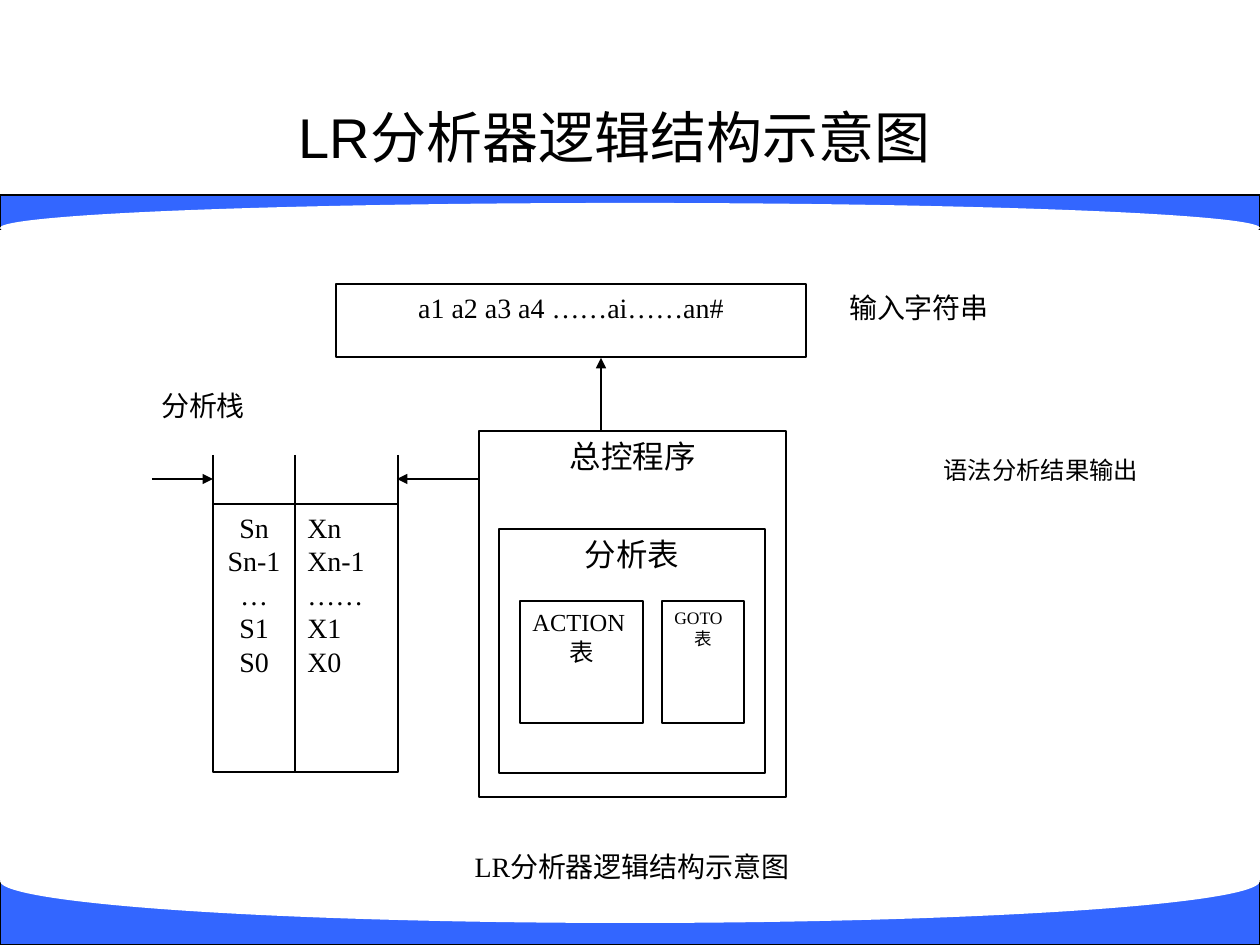
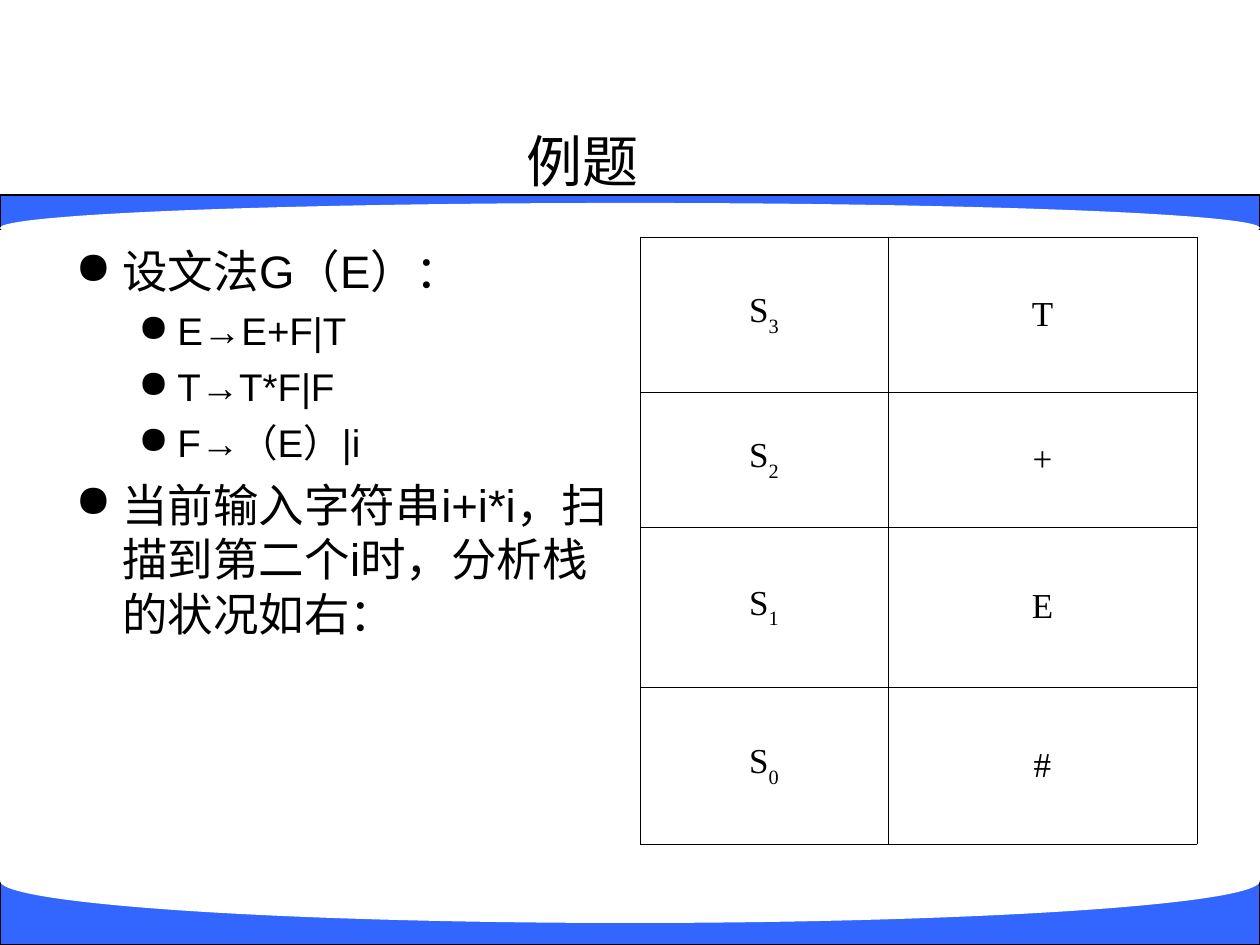
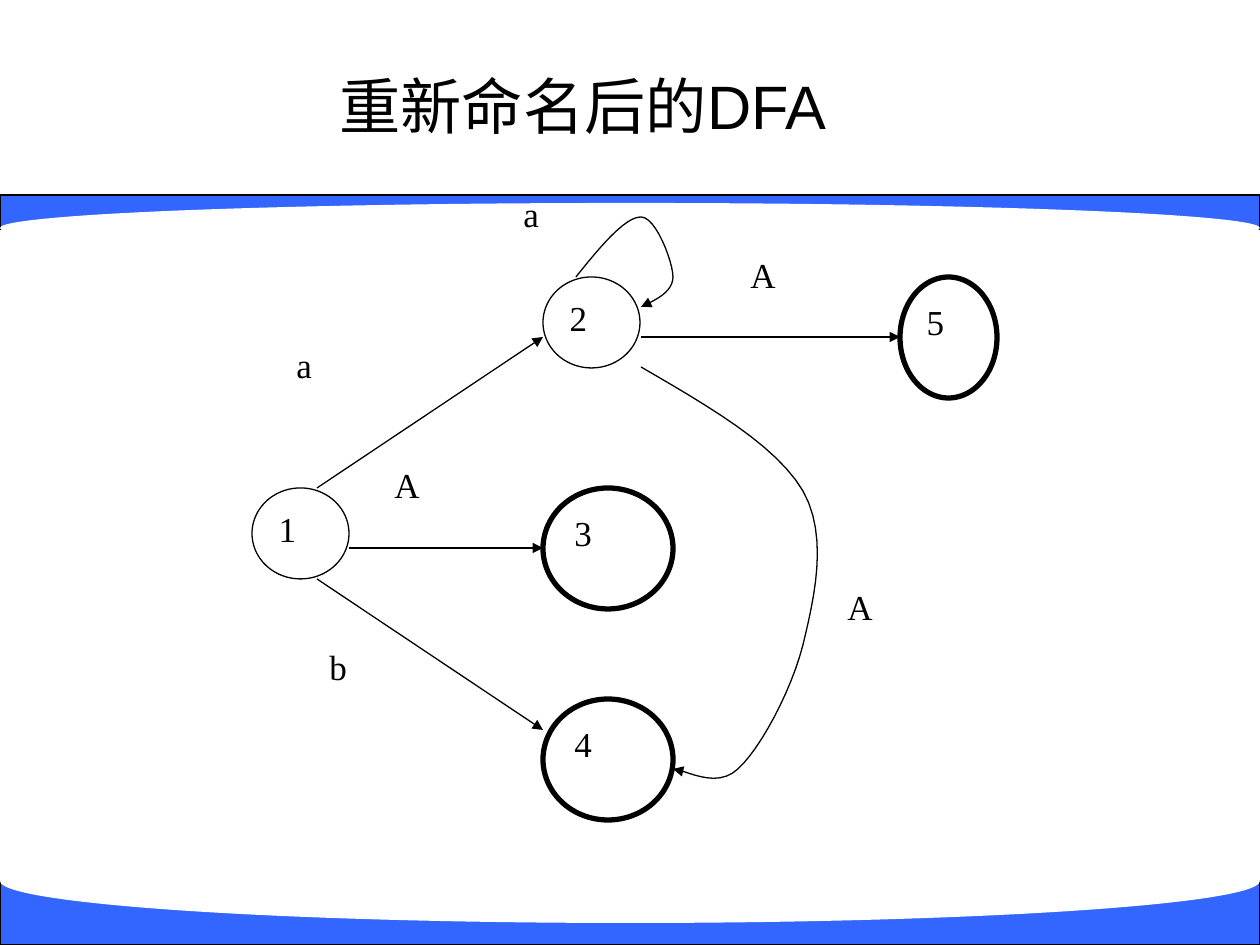
from typing import NamedTuple

from lxml import etree
from pptx import Presentation
from pptx import util as u
from pptx.dml.color import RGBColor
from pptx.enum import shapes, text
from pptx.oxml import ns

BLUE = RGBColor(0x33, 0x66, 0xFF)
BLACK = RGBColor(0, 0, 0)
WHITE = RGBColor(0xFF, 0xFF, 0xFF)
SANS, SERIF = "Arial", "Times New Roman"
RECT, OVAL = shapes.MSO_SHAPE.RECTANGLE, shapes.MSO_SHAPE.OVAL
CENTER, JUSTIFY, LEFT = text.PP_ALIGN.CENTER, text.PP_ALIGN.JUSTIFY, text.PP_ALIGN.LEFT
THIN, THICK = 0.75, 3
CURVE_STEPS = 12


def px(length):
    return round(length * u.Inches(1) / 126)


class Box(NamedTuple):
    left: int
    top: int
    width: int
    height: int

    def inner(self, left, top, width, height):
        return Box(self.left + left, self.top + top, width, height)

    def point(self, x, y):
        return px(self.left + x), px(self.top + y)

    def emu(self):
        return [px(length) for length in self]


def add_xml(parent, tag, **attributes):
    return etree.SubElement(parent, ns.qn(tag), attributes)


def add_arrowhead(line):
    add_xml(line.get_or_change_to_solidFill().getparent()
            if hasattr(line, "get_or_change_to_solidFill") else line,
            "a:tailEnd", type="triangle")


def style_paragraph(para, size, font=SERIF, align=CENTER):
    para.alignment = align
    para.font.size = u.Pt(size)
    para.font.name = font
    para.font.color.rgb = BLACK


def write_lines(frame, lines, size, font=SERIF, aligns=(CENTER,), anchor=text.MSO_ANCHOR.TOP):
    """Write one paragraph per line; the last alignment serves all further lines."""
    frame.word_wrap = True
    frame.vertical_anchor = anchor
    for index, line in enumerate(lines):
        para = frame.paragraphs[0] if index == 0 else frame.add_paragraph()
        para.text = line
        style_paragraph(para, size, font, aligns[min(index, len(aligns) - 1)])


def add_figure(page, kind, box, fill=WHITE, line=THIN):
    figure = page.shapes.add_shape(kind, *box.emu())
    figure.shadow.inherit = False
    figure.fill.solid()
    figure.fill.fore_color.rgb = fill
    if line:
        figure.line.color.rgb = BLACK
        figure.line.width = u.Pt(line)
    else:
        figure.line.fill.background()
    return figure


def add_panel(page, box, lines, size, aligns=(CENTER,)):
    write_lines(add_figure(page, RECT, box).text_frame, lines, size, aligns=aligns)


def add_label(page, box, words, size, font=SERIF, align=CENTER, anchor=text.MSO_ANCHOR.TOP):
    label = page.shapes.add_textbox(*box.emu())
    write_lines(label.text_frame, [words], size, font, (align,), anchor)
    return label


def add_line(page, start, end, arrow=False):
    line = page.shapes.add_connector(shapes.MSO_CONNECTOR.STRAIGHT, *start, *end)
    line.line.color.rgb = BLACK
    line.line.width = u.Pt(THIN)
    properties = line.element.spPr
    add_xml(properties, "a:effectLst")
    if arrow:
        add_arrowhead(properties.find(ns.qn("a:ln")))


def bezier(start, first, second, end, t):
    return tuple((1 - t) ** 3 * a + 3 * (1 - t) ** 2 * t * b + 3 * (1 - t) * t ** 2 * c + t ** 3 * d
                 for a, b, c, d in zip(start, first, second, end))


def add_curved_arrow(page, box, knots):
    """Draw joined cubic curves: a start, then two controls and an end for each."""
    points = [box.point(*bezier(*knots[first:first + 4], step / CURVE_STEPS))
              for first in range(0, len(knots) - 1, 3)
              for step in range(1, CURVE_STEPS + 1)]
    builder = page.shapes.build_freeform(*box.point(*knots[0]), scale=1.0)
    builder.add_line_segments(points, close=False)
    curve = builder.convert_to_shape()
    curve.shadow.inherit = False
    curve.fill.background()
    curve.line.color.rgb = BLACK
    curve.line.width = u.Pt(THIN)
    add_arrowhead(curve.element.spPr.find(ns.qn("a:ln")))


def add_page(deck, title, title_box, title_size=32):
    page = deck.slides.add_slide(deck.slide_layouts[6])
    for band, ellipse in ((Box(0, 195, 1260, 34), Box(0, 203, 1260, 50)),
                          (Box(0, 881, 1260, 64), Box(0, 839, 1260, 84))):
        add_figure(page, RECT, band, BLUE)
        add_figure(page, OVAL, ellipse, line=None)
    add_label(page, title_box, title, title_size, SANS, anchor=text.MSO_ANCHOR.MIDDLE)
    return page


def draw_input(page, box):
    add_panel(page, box.inner(0, 0, 470, 73), ["a1 a2 a3 a4 ……ai……an#"], 16)
    add_label(page, box.inner(491, 0, 184, 73), "输入字符串", 16)


def draw_stack(page, box):
    add_label(page, box.inner(0, 0, 184, 73), "分析栈", 16)
    add_panel(page, box.inner(102, 122, 82, 268), ["Sn", "Sn-1", "…", "S1", "S0"], 16)
    add_panel(page, box.inner(184, 122, 103, 268), ["Xn", "Xn-1", "……", "X1", "X0"], 16, (JUSTIFY,))
    for x in (102, 184, 287):
        add_line(page, box.point(x, 73), box.point(x, 122))
    add_line(page, box.point(41, 97), box.point(102, 97), arrow=True)


def draw_controller(page, box):
    add_panel(page, box, ["总控程序"], 18)
    add_panel(page, box.inner(20, 98, 266, 244), ["分析表"], 18)
    add_panel(page, box.inner(41, 170, 123, 122), ["ACTION", "表"], 14, (JUSTIFY, CENTER))
    add_panel(page, box.inner(183, 170, 82, 122), ["GOTO", "表"], 10, (JUSTIFY, CENTER))
    add_line(page, box.point(122, 0), box.point(122, -73), arrow=True)
    add_line(page, box.point(0, 48), box.point(-82, 48), arrow=True)


def build_structure_page(deck):
    page = add_page(deck, "LR分析器逻辑结构示意图", Box(95, 86, 1040, 100))
    draw_input(page, Box(336, 284, 675, 73))
    draw_stack(page, Box(111, 382, 287, 390))
    draw_controller(page, Box(479, 431, 307, 366))
    output = add_label(page, Box(929, 455, 224, 73), "语法分析结果输出", 13.9)
    output.text_frame.paragraphs[0].line_spacing = 0.8
    add_label(page, Box(407, 843, 450, 73), "LR分析器逻辑结构示意图", 16)


def draw_grammar(page, box):
    items = [(0, "设文法G（E）："), (1, "E→E+F|T"), (1, "T→T*F|F"), (1, "F→（E）|i"),
             (0, "当前输入字符串i+i*i，扫描到第二个i时，分析栈的状况如右：")]
    levels = [(26, 6.5, 47, 47), (22, 5.5, 102, 39)]
    frame = page.shapes.add_textbox(*box.emu()).text_frame
    frame.word_wrap = True
    for index, (level, words) in enumerate(items):
        size, space, margin, hanging = levels[level]
        para = frame.paragraphs[0] if index == 0 else frame.add_paragraph()
        para.text = words
        para.level = level
        if index:
            para.space_before = u.Pt(space)
        properties = para._p.get_or_add_pPr()
        properties.set("marL", str(px(margin)))
        properties.set("indent", str(-px(hanging)))
        color = add_xml(properties, "a:buClr")
        add_xml(color, "a:srgbClr", val=str(BLACK))
        add_xml(properties, "a:buChar", char="●")
        style_paragraph(para, size, SANS, LEFT)


def add_borders(cell):
    properties = cell._tc.get_or_add_tcPr()
    for side in ("a:lnL", "a:lnR", "a:lnT", "a:lnB"):
        border = add_xml(properties, side, w=str(u.Pt(0.45)))
        fill = add_xml(border, "a:solidFill")
        add_xml(fill, "a:srgbClr", val=str(BLACK))


def draw_stack_table(page, box):
    symbols = ["T", "+", "E", "#"]
    table = page.shapes.add_table(len(symbols), 2, *box.emu()).table
    table.first_row = table.horz_banding = False
    for column, width in zip(table.columns, (248, 309)):
        column.width = px(width)
    for row, height in zip(table.rows, (155, 135, 160, 157)):
        row.height = px(height)
    for index, symbol in enumerate(symbols):
        state, value = table.rows[index].cells
        for cell, words in ((state, "S"), (value, symbol)):
            para = cell.text_frame.paragraphs[0]
            para.add_run().text = words
            if cell is state:
                subscript = para.add_run()
                subscript.text = str(len(symbols) - 1 - index)
                subscript.font._element.set("baseline", "-30000")
            for span in para.runs:
                span.font.size = u.Pt(20)
                span.font.name = SERIF
                span.font.color.rgb = BLACK
            para.alignment = CENTER
            cell.vertical_anchor = text.MSO_ANCHOR.MIDDLE
            add_borders(cell)
            cell.fill.background()


def build_example_page(deck):
    page = add_page(deck, "例题", Box(63, 125, 1040, 70))
    draw_grammar(page, Box(63, 237, 557, 607))
    draw_stack_table(page, Box(640, 237, 557, 607))


def draw_automaton(page, box):
    states = [("1", 0, 302, 97, 91, THIN), ("2", 291, 91, 97, 91, THIN),
              ("3", 291, 302, 130, 121, THICK), ("4", 291, 513, 130, 121, THICK),
              ("5", 648, 91, 97, 121, THICK)]
    edges = [((97, 362), (291, 362)), ((65, 393), (291, 544)),
             ((65, 302), (291, 151)), ((389, 151), (648, 151))]
    curve_to_4 = [(389, 181), (456, 220), (524, 259), (551, 305), (577, 351), (562, 413), (551, 459),
                  (539, 506), (508, 563), (486, 583), (464, 604), (432, 583), (421, 583)]
    loop_on_2 = [(324, 91), (348, 61), (373, 31), (389, 31), (404, 31), (421, 76), (421, 91),
                 (421, 106), (404, 114), (389, 121)]
    labels = [("A", 486, 61), ("A", 130, 271), ("A", 583, 393),
              ("b", 65, 453), ("a", 32, 151), ("a", 259, 0)]
    for name, left, top, width, height, line in states:
        state = add_figure(page, OVAL, box.inner(left, top, width, height), line=line)
        write_lines(state.text_frame, [name], 20, aligns=(JUSTIFY,))
    for start, end in edges:
        add_line(page, box.point(*start), box.point(*end), arrow=True)
    for knots in (curve_to_4, loop_on_2):
        add_curved_arrow(page, box, knots)
    for symbol, left, top in labels:
        add_label(page, box.inner(left, top, 97, 91), symbol, 20, align=JUSTIFY)


def build_automaton_page(deck):
    page = add_page(deck, "重新命名后的DFA", Box(63, 16, 1040, 179), 35)
    draw_automaton(page, Box(252, 186, 745, 634))


def main():
    deck = Presentation()
    deck.slide_width, deck.slide_height = px(1260), px(945)
    build_structure_page(deck)
    build_example_page(deck)
    build_automaton_page(deck)
    deck.save("out.pptx")


if __name__ == "__main__":
    main()
